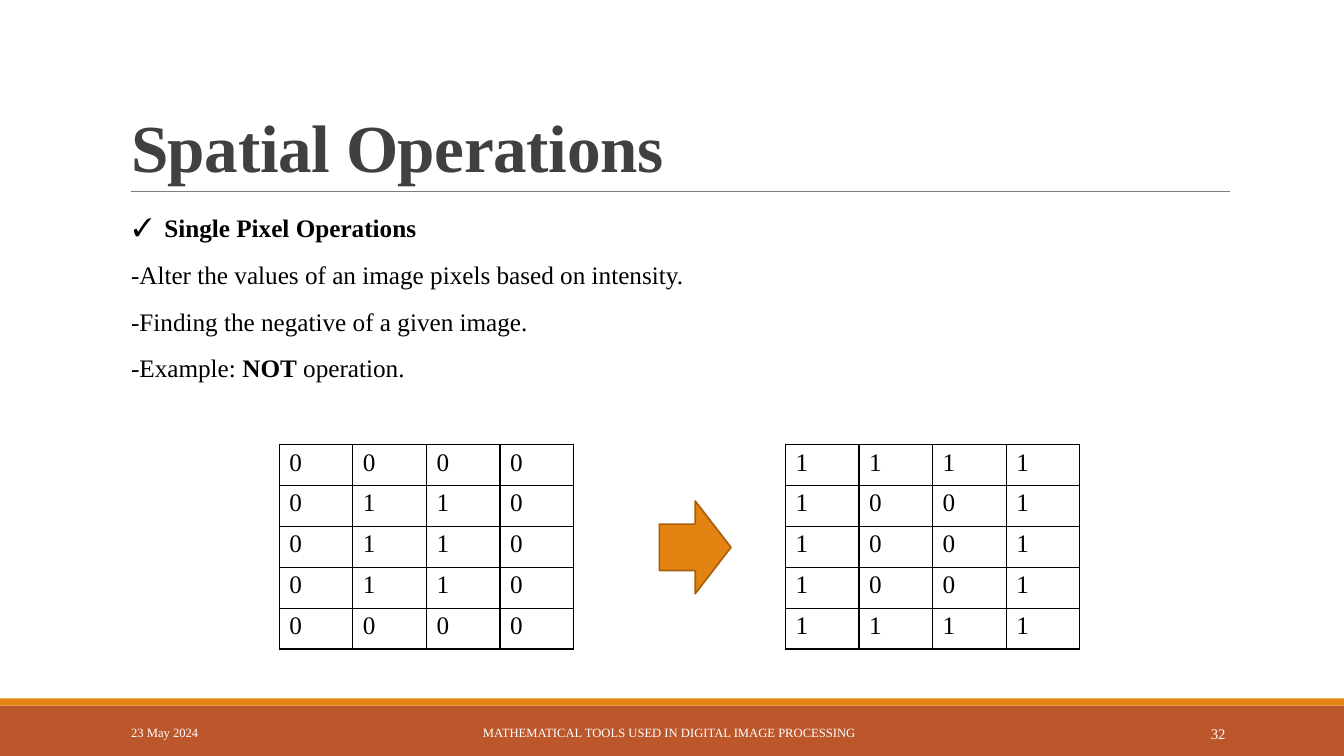
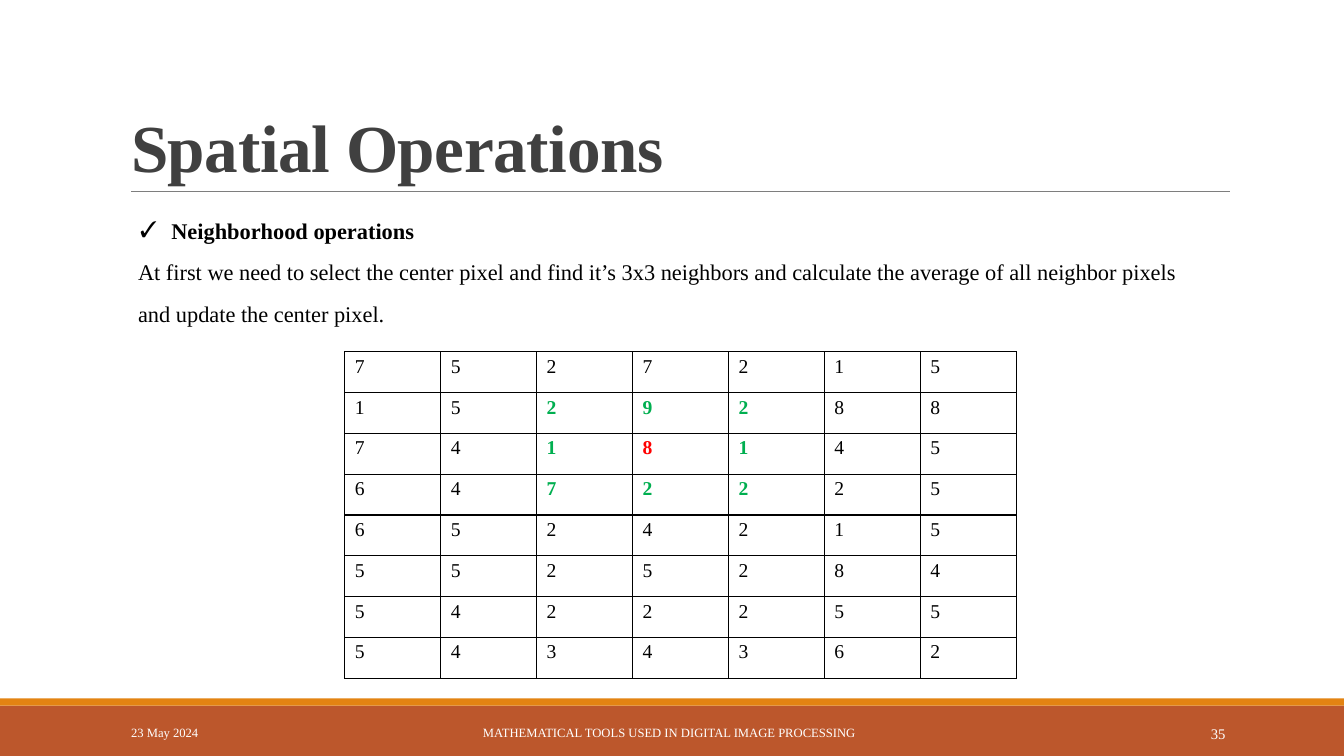
from dataclasses import dataclass

from lxml.etree import SubElement
from pptx import Presentation
from pptx.dml.color import RGBColor
from pptx.enum.shapes import MSO_CONNECTOR, MSO_SHAPE
from pptx.enum.text import MSO_ANCHOR
from pptx.oxml.ns import qn
from pptx.util import Inches, Pt


@dataclass(frozen=True)
class Theme:
    font: str = "Times New Roman"
    ink: str = "000000"
    title: str = "404040"
    rule: str = "7E7E7E"
    footer: str = "BC572C"
    accent: str = "E38312"
    accent_edge: str = "A75F09"
    light: str = "FFFFFF"
    neighbor: str = "00AF50"
    center: str = "FF0000"
    title_size: float = 48
    footer_size: float = 9
    number_size: float = 10.5


THEME = Theme()

# Content: a paragraph is a list of (text, bold) spans
TITLE = "Spatial Operations"
DATE = "23 May 2024"
COURSE = "MATHEMATICAL TOOLS USED IN DIGITAL IMAGE PROCESSING"

SINGLE_PIXEL = [
    [("Single Pixel Operations", True)],
    [("-Alter the values of an image pixels based on intensity.", False)],
    [("-Finding the negative of a given image.", False)],
    [("-Example: ", False), ("NOT", True), (" operation.", False)],
]
NEIGHBORHOOD = [
    [("Neighborhood operations", True)],
    [("At first we need to select the center pixel and find it’s 3x3 neighbors "
      "and calculate the average of all neighbor pixels and update the center "
      "pixel.", False)],
]
BINARY_IMAGE = ["0000", "0110", "0110", "0110", "0000"]
NEGATIVE_IMAGE = ["".join("10"[int(bit)] for bit in row) for row in BINARY_IMAGE]
GRAY_IMAGE = ["7527215", "1529288", "7418145", "6472225",
              "6524215", "5525284", "5422255", "5434362"]
CENTER_PIXEL = (2, 3)


def color(value):
    return RGBColor.from_string(value)


def write_spans(para, spans, size, ink):
    for text, bold in spans:
        span = para.add_run()
        span.text = text
        span.font.name = THEME.font
        span.font.size = Pt(size)
        span.font.bold = bold
        span.font.color.rgb = color(ink)


def add_check_bullet(para):
    properties = para._p.get_or_add_pPr()
    properties.set("marL", str(Inches(0.33)))
    properties.set("indent", str(Inches(-0.31)))
    SubElement(properties, qn("a:buFont"), typeface=THEME.font)
    SubElement(properties, qn("a:buChar"), char="✓")


def add_text(page, area, paragraphs, size, ink=THEME.ink, top_inset=0.0,
             anchor=MSO_ANCHOR.TOP, wrap=True, check_first=False,
             space_before=0, line_spacing=None, tracking=0):
    box = page.shapes.add_textbox(*map(Inches, area))
    frame = box.text_frame
    frame.word_wrap = wrap
    frame.vertical_anchor = anchor
    frame.margin_left = frame.margin_right = frame.margin_bottom = 0
    frame.margin_top = Inches(top_inset)
    for index, spans in enumerate(paragraphs):
        para = frame.paragraphs[0] if index == 0 else frame.add_paragraph()
        if index == 0 and check_first:
            add_check_bullet(para)
        if index > 0:
            para.space_before = Pt(space_before)
            if line_spacing:
                para.line_spacing = line_spacing
        write_spans(para, spans, size, ink)
        if tracking:
            for span in para.runs:
                span.font._element.set("spc", str(round(tracking * 100)))
    return box


def add_block(page, preset, area, fill, edge=None):
    shape = page.shapes.add_shape(preset, *map(Inches, area))
    shape.shadow.inherit = False
    shape.fill.solid()
    shape.fill.fore_color.rgb = color(fill)
    if edge:
        shape.line.color.rgb = color(edge)
        shape.line.width = Pt(1.2)
    else:
        shape.line.fill.background()


def add_rule(page, left, right, top):
    rule = page.shapes.add_connector(
        MSO_CONNECTOR.STRAIGHT, Inches(left), Inches(top), Inches(right), Inches(top))
    rule.line.color.rgb = color(THEME.rule)
    rule.line.width = Pt(0.48)
    SubElement(rule._element.spPr, qn("a:effectLst"))


def add_cell_borders(cell):
    properties = cell._tc.get_or_add_tcPr()
    for side in ("lnL", "lnR", "lnT", "lnB"):
        border = SubElement(properties, qn(f"a:{side}"), w=str(Pt(1)))
        fill = SubElement(border, qn("a:solidFill"))
        SubElement(fill, qn("a:srgbClr"), val=THEME.ink)


def add_pixel_table(page, area, pixels, size, center=None):
    left, top, width, height = map(Inches, area)
    table = page.shapes.add_table(
        len(pixels), len(pixels[0]), left, top, width, height).table
    table.first_row = table.horz_banding = False
    for row, values in enumerate(pixels):
        for column, value in enumerate(values):
            cell = table.cell(row, column)
            add_cell_borders(cell)
            cell.fill.background()
            cell.margin_left = Inches(0.1)
            cell.margin_top = Inches(0.04)
            cell.margin_right = cell.margin_bottom = 0
            # The center pixel and its eight neighbors stand out
            distance = 2
            if center:
                distance = max(abs(row - center[0]), abs(column - center[1]))
            ink = {0: THEME.center, 1: THEME.neighbor}.get(distance, THEME.ink)
            write_spans(cell.text_frame.paragraphs[0],
                        [(value, distance < 2)], size, ink)


def add_page(deck, number):
    page = deck.slides.add_slide(deck.slide_layouts[6])
    # Bands and title rule
    add_block(page, MSO_SHAPE.RECTANGLE, (0, 7, 13.33, 0.5), THEME.footer)
    add_block(page, MSO_SHAPE.RECTANGLE, (0, 6.93, 13.33, 0.07), THEME.accent)
    add_rule(page, 1.3, 12.2, 1.9)
    # Title
    add_text(page, (1.3, 1.01, 10.66, 0.84), [[(TITLE, True)]], THEME.title_size,
             ink=THEME.title, anchor=MSO_ANCHOR.BOTTOM, tracking=-0.3)
    # Footer
    for text, left, width, size in (
            (DATE, 1.3, 0.7, THEME.footer_size),
            (COURSE, 4.79, 3.77, THEME.footer_size),
            (str(number), 12.01, 0.22, THEME.number_size)):
        add_text(page, (left, 7.19, width, 0.17), [[(text, False)]], size,
                 ink=THEME.light, wrap=False)
    return page


def build_single_pixel(deck):
    page = add_page(deck, 32)
    add_text(page, (1.3, 1.95, 6, 1.83), SINGLE_PIXEL, 18, top_inset=0.16,
             check_first=True, space_before=11.7)
    for left, pixels in ((2.77, BINARY_IMAGE), (7.79, NEGATIVE_IMAGE)):
        add_pixel_table(page, (left, 4.41, 2.92, 2.03), pixels, 18)
    add_block(page, MSO_SHAPE.RIGHT_ARROW, (6.54, 4.97, 0.71, 0.92),
              THEME.accent, edge=THEME.accent_edge)


def build_neighborhood(deck):
    page = add_page(deck, 35)
    add_text(page, (1.37, 2, 10.37, 1.23), NEIGHBORHOOD, 16, top_inset=0.15,
             check_first=True, line_spacing=1.55)
    add_pixel_table(page, (3.42, 3.49, 6.66, 3.24), GRAY_IMAGE, 14,
                    center=CENTER_PIXEL)


def main():
    deck = Presentation()
    deck.slide_width, deck.slide_height = Inches(13.33), Inches(7.5)
    build_single_pixel(deck)
    build_neighborhood(deck)
    deck.save("out.pptx")


if __name__ == "__main__":
    main()
